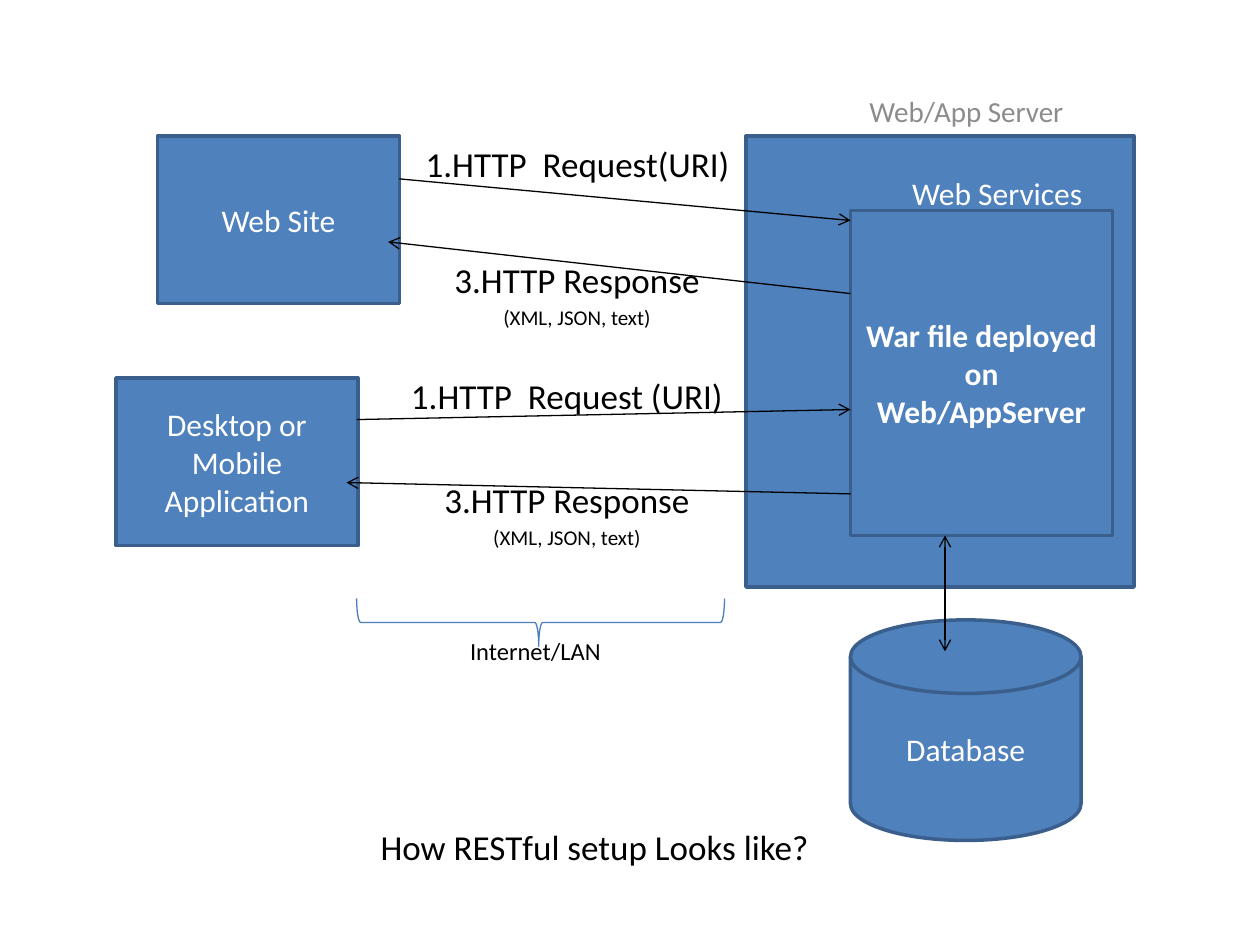
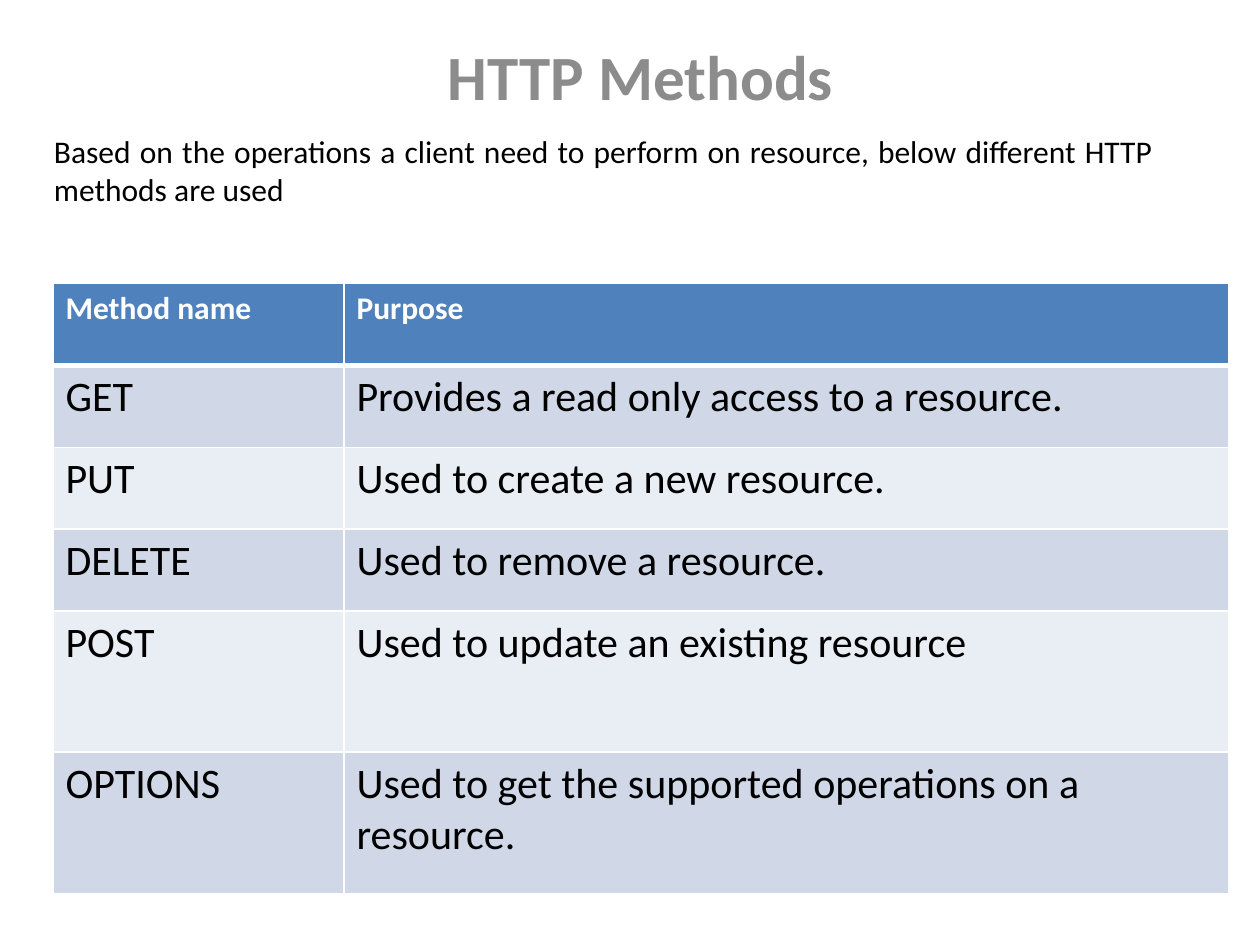
import pptx
import pptx.util
import pptx.dml.color
import pptx.enum.shapes
import pptx.enum.text
import pptx.oxml
import pptx.oxml.ns
from lxml import etree

Inches, Pt = pptx.util.Inches, pptx.util.Pt
Shape = pptx.enum.shapes.MSO_SHAPE
Align = pptx.enum.text.PP_ALIGN
Anchor = pptx.enum.text.MSO_ANCHOR
qn = pptx.oxml.ns.qn

FONT = "Calibri"
BLUE, EDGE, BRACE = "4F81BD", "3A5F8C", "4B7EBC"
BLACK, WHITE, GREY = "000000", "FFFFFF", "8C8C8C"
BANDS = ("D0D8E8", "E9EDF4")

CAPTION = ("How RESTful setup Looks like?", (2.92, 6.5, 3.75, 0.67))
BOXES = [
    ("Web Site", Shape.RECTANGLE, (1.25, 1.08, 1.92, 1.33), False),
    ("", Shape.RECTANGLE, (5.92, 1.08, 3.08, 3.58), False),
    ("War file deployed on Web/AppServer", Shape.RECTANGLE,
     (6.75, 1.67, 2.08, 2.58), True),
    ("Database", Shape.FLOWCHART_MAGNETIC_DISK,
     (6.75, 4.92, 1.83, 1.75), False),
    ("Desktop or Mobile Application", Shape.RECTANGLE,
     (0.92, 3, 1.92, 1.33), False),
]
ARROWS = [
    ((3.17, 1.42), (6.75, 1.75), ("tailEnd",)),
    ((6.75, 2.33), (3.08, 1.92), ("tailEnd",)),
    ((2.83, 3.33), (6.75, 3.25), ("tailEnd",)),
    ((6.75, 3.92), (2.75, 3.83), ("tailEnd",)),
    ((7.5, 4.25), (7.5, 5.17), ("headEnd", "tailEnd")),
]
REPLY = [("3.HTTP Response", 20), ("(XML, JSON, text)", 12)]
LABELS = [
    ([("1.HTTP  Request(URI)", 20)], (3.25, 1.08, 2.67, 0.42), BLACK, 1),
    (REPLY, (3.08, 2, 3, 0.75), BLACK, 1),
    ([("1.HTTP  Request (URI)", 20)], (3, 2.92, 3, 0.42), BLACK, 1),
    (REPLY, (3, 3.75, 3, 0.75), BLACK, 1),
    ([("Web/App Server", 16.6)], (6.67, 0.75, 2, 0.33), GREY, 0.8),
    ([("Web Services", 18)], (6.83, 1.33, 2.17, 0.5), WHITE, 1),
    ([("Internet/LAN", 14)], (2.75, 5, 3, 0.42), BLACK, 1),
]

HEADING = ("HTTP Methods", (0.17, 0.25, 9.83, 0.83))
INTRO = ("Based on the operations a client need to perform on resource, "
         "below different HTTP methods are used", (0.33, 1, 8.92, 0.71))
METHODS = [
    ("Method name", "Purpose"),
    ("GET", "Provides a read only access to a resource."),
    ("PUT", "Used to create a new resource."),
    ("DELETE", "Used to remove a resource."),
    ("POST", "Used to update an existing resource"),
    ("OPTIONS", "Used to get the supported operations on a resource."),
]
GRID = (0.42, 2.25, 9.33, 4.83)
WIDTHS = (2.31, 7.02)
HEIGHTS = (0.65,) * 4 + (1.12,) * 2


def color(code):
    return pptx.dml.color.RGBColor.from_string(code)


def assign(item, values):
    for name, value in values.items():
        setattr(item, name, value)


def place(item, area):
    names = ("left", "top", "width", "height")
    assign(item, dict(zip(names, map(Inches, area))))


def write(frame, lines, ink, align=Align.CENTER, bold=False, lead=1,
          anchor=Anchor.TOP):
    assign(frame, {"word_wrap": True, "vertical_anchor": anchor,
                   "auto_size": pptx.enum.text.MSO_AUTO_SIZE.NONE})
    for i, (text, size) in enumerate(lines):
        para = frame.add_paragraph() if i else frame.paragraphs[0]
        assign(para, {"alignment": align, "line_spacing": lead,
                      "space_before": Pt(size * 0.2 if i else 0)})
        run = para.add_run()
        run.text = text
        assign(run.font, {"name": FONT, "size": Pt(size), "bold": bold})
        run.font.color.rgb = color(ink)


def stroke(line, ink, width):
    line.color.rgb = color(ink)
    line.width = Pt(width)


def label(slide, lines, area, ink, **style):
    box = slide.shapes.add_textbox(*map(Inches, area))
    write(box.text_frame, lines, ink, **style)


def box(slide, text, kind, area, bold):
    item = slide.shapes.add_shape(kind, *map(Inches, area))
    item.shadow.inherit = False
    item.fill.solid()
    item.fill.fore_color.rgb = color(BLUE)
    stroke(item.line, EDGE, 2)
    if text:
        write(item.text_frame, [(text, 18)], WHITE, bold=bold,
              anchor=Anchor.MIDDLE)


def arrow(slide, start, end, tips):
    item = slide.shapes.add_connector(
        pptx.enum.shapes.MSO_CONNECTOR.STRAIGHT,
        *map(Inches, start + end))
    stroke(item.line, BLACK, 0.75)
    ln = item.line._get_or_add_ln()
    for tip in tips:
        etree.SubElement(ln, qn("a:" + tip), type="arrow")
    etree.SubElement(item._element.spPr, qn("a:effectLst"))


def edges(cell, foot):
    props = cell._tc.get_or_add_tcPr()
    for side, width in (("L", 1), ("R", 1), ("T", 1), ("B", foot)):
        ln = etree.SubElement(props, qn("a:ln" + side), w=str(Pt(width)))
        fill = etree.SubElement(ln, qn("a:solidFill"))
        etree.SubElement(fill, qn("a:srgbClr"), val=WHITE)


def start(deck, text, area, size, ink, **style):
    slide = deck.slides.add_slide(deck.slide_layouts[5])
    place(slide.shapes.title, area)
    write(slide.shapes.title.text_frame, [(text, size)], ink, **style)
    return slide


deck = pptx.Presentation()
assign(deck, {"slide_width": Inches(10), "slide_height": Inches(7.5)})

setup = start(deck, *CAPTION, 20, BLACK, align=Align.LEFT)
for spec_row in BOXES:
    box(setup, *spec_row)
for ends in ARROWS:
    arrow(setup, *ends)
brace = setup.shapes.add_shape(
    Shape.RIGHT_BRACE, *map(Inches, (4.1, 3.48, 0.38, 2.92)))
brace.rotation = 90
brace.shadow.inherit = False
brace.fill.background()
stroke(brace.line, BRACE, 0.75)
for i, value in enumerate((0.083, 0.505)):
    brace.adjustments[i] = value
for lines, area, ink, lead in LABELS:
    label(setup, lines, area, ink, lead=lead)

verbs = start(deck, *HEADING, 36, GREY, bold=True)
table = verbs.shapes.add_table(
    len(METHODS), len(WIDTHS), *map(Inches, GRID)).table
for col, width in zip(table.columns, WIDTHS):
    col.width = Inches(width)
for r, (row, height) in enumerate(zip(METHODS, HEIGHTS)):
    table.rows[r].height = Inches(height)
    head = r == 0
    for c, text in enumerate(row):
        cell = table.cell(r, c)
        edges(cell, 3 if head else 1)
        cell.fill.solid()
        cell.fill.fore_color.rgb = color(BLUE if head else BANDS[(r - 1) % 2])
        para = cell.text_frame.paragraphs[0]
        run = para.add_run()
        run.text = text
        assign(run.font, {"name": FONT, "size": Pt(18 if head else 24),
                          "bold": head})
        run.font.color.rgb = color(WHITE if head else BLACK)
label(verbs, [(INTRO[0], 18)], INTRO[1], BLACK, align=Align.JUSTIFY)

deck.save("out.pptx")
